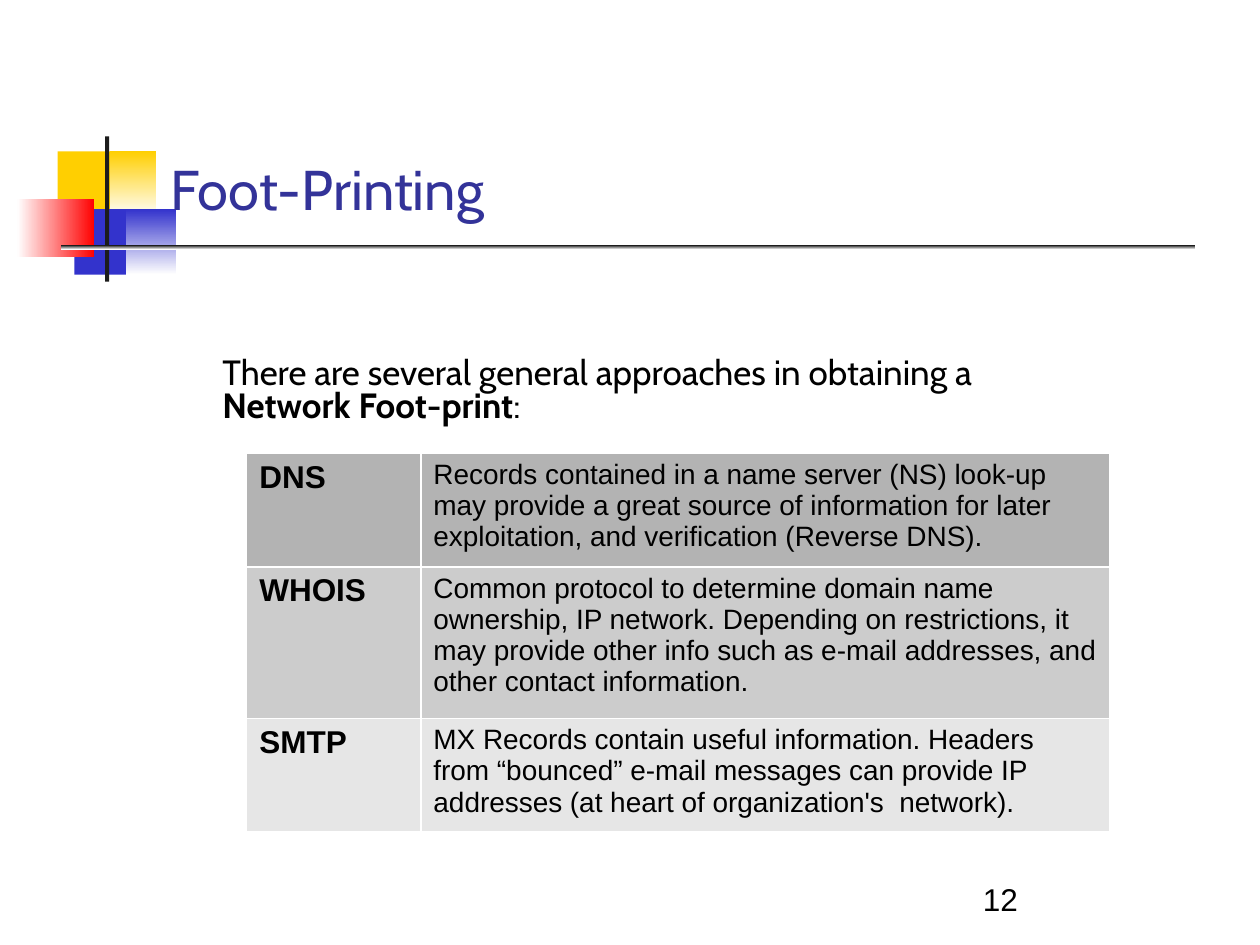
from pptx import Presentation
from pptx.dml.color import RGBColor
from pptx.enum.shapes import MSO_SHAPE
from pptx.enum.text import MSO_ANCHOR, MSO_AUTO_SIZE, PP_ALIGN
from pptx.util import Pt

TITLE = "Foot-Printing"
INTRO = "There are several general approaches in obtaining a"
INTRO_KEY = "Network Foot-print"
PAGE = "12"
# name, description, row height, fill
APPROACHES = [
    ("DNS", "Records contained in a name server (NS) look-up may provide a great "
     "source of information for later exploitation, and verification (Reverse DNS).",
     65, "B3B3B3"),
    ("WHOIS", "Common protocol to determine domain name ownership, IP network. "
     "Depending on restrictions, it may provide other info such as e-mail "
     "addresses, and other contact information.", 86.5, "CCCCCC"),
    ("SMTP", "MX Records contain useful information. Headers from “bounced” e-mail "
     "messages can provide IP addresses (at heart of organization's  network).",
     65, "E6E6E6"),
]
COLUMNS = [99.5, 393.5]

THEME = {
    "head": "Cabin", "body": "Arial",
    "title": "333399", "text": "000000", "white": "FFFFFF",
    "yellow": "FFCF01", "blue": "3333CC", "red": "FF0000", "dark": "1C1C1C",
    "title_size": 32, "intro_size": 20, "label_size": 18, "cell_size": 16,
}
# box, colours (two make a gradient), gradient angle
DECOR = [
    ((33, 86.5, 35, 37.5), ("yellow",), 0),
    ((63, 86.5, 26, 37.5), ("white", "yellow"), 90),
    ((42.5, 119.5, 33, 37.5), ("blue",), 0),
    ((72, 119.5, 28.5, 37.5), ("white", "blue"), 90),
    ((10, 114, 44, 33), ("red", "white"), 180),
    ((60, 78, 2.4, 83), ("dark",), 0),
    ((34.75, 140.2, 648, 2.4), ("white", "dark"), 90),
]


def rgb(name):
    return RGBColor.from_string(THEME.get(name, name))


def style(font, face, size, color="text", bold=False):
    font.name, font.size, font.bold = THEME[face], Pt(THEME[size]), bold
    font.color.rgb = rgb(color)


def add_text(slide, box, anchor=MSO_ANCHOR.TOP):
    tf = slide.shapes.add_textbox(*map(Pt, box)).text_frame
    tf.word_wrap, tf.vertical_anchor = True, anchor
    return tf.paragraphs[0]


def add_decor(slide, box, colors, angle):
    sp = slide.shapes.add_shape(MSO_SHAPE.RECTANGLE, *map(Pt, box))
    sp.shadow.inherit = False
    sp.line.fill.background()
    if len(colors) == 1:
        sp.fill.solid()
        sp.fill.fore_color.rgb = rgb(colors[0])
        return
    sp.fill.gradient()
    sp.fill.gradient_angle = angle
    for stop, color in zip(sp.fill.gradient_stops, colors):
        stop.color.rgb = rgb(color)


prs = Presentation()
prs.slide_width, prs.slide_height = Pt(720), Pt(540)
slide = prs.slides.add_slide(prs.slide_layouts[5])

# Coloured squares and rule
for part in DECOR:
    add_decor(slide, *part)

# Title, in front of the squares
title = slide.shapes.title
slide.shapes._spTree.append(title._element)
title.left, title.top, title.width, title.height = map(Pt, (90.5, 16.5, 613.5, 115))
tf = title.text_frame
tf.text = TITLE
tf.auto_size, tf.vertical_anchor = MSO_AUTO_SIZE.NONE, MSO_ANCHOR.BOTTOM
p = tf.paragraphs[0]
p.alignment, p.line_spacing = PP_ALIGN.LEFT, 0.98
style(p.font, "head", "title_size", "title")

# Introduction
p = add_text(slide, (120, 202, 584, 48))
p.line_spacing = 0.78
style(p.font, "head", "intro_size")
p.add_run().text = INTRO
p.add_line_break()
for text, bold in ((INTRO_KEY, True), (":", False)):
    r = p.add_run()
    r.text = text
    style(r.font, "head", "intro_size", bold=bold)
style(p.runs[0].font, "head", "intro_size")

# Table of approaches
heights = [row[2] for row in APPROACHES]
table = slide.shapes.add_table(len(heights), len(COLUMNS), Pt(141), Pt(259),
                               Pt(sum(COLUMNS)), Pt(sum(heights))).table
table.first_row = table.horz_banding = False
for column, width in zip(table.columns, COLUMNS):
    column.width = Pt(width)
for row, (name, description, height, fill) in zip(table.rows, APPROACHES):
    row.height = Pt(height)
    for cell, text, size in zip(row.cells, (name, description),
                                ("label_size", "cell_size")):
        cell.text = text
        cell.fill.solid()
        cell.fill.fore_color.rgb = rgb(fill)
        style(cell.text_frame.paragraphs[0].font, "body", size, bold=text == name)

# Page number
p = add_text(slide, (554.5, 492, 150, 36), MSO_ANCHOR.BOTTOM)
p.text = PAGE
style(p.font, "body", "label_size")

prs.save("out.pptx")
